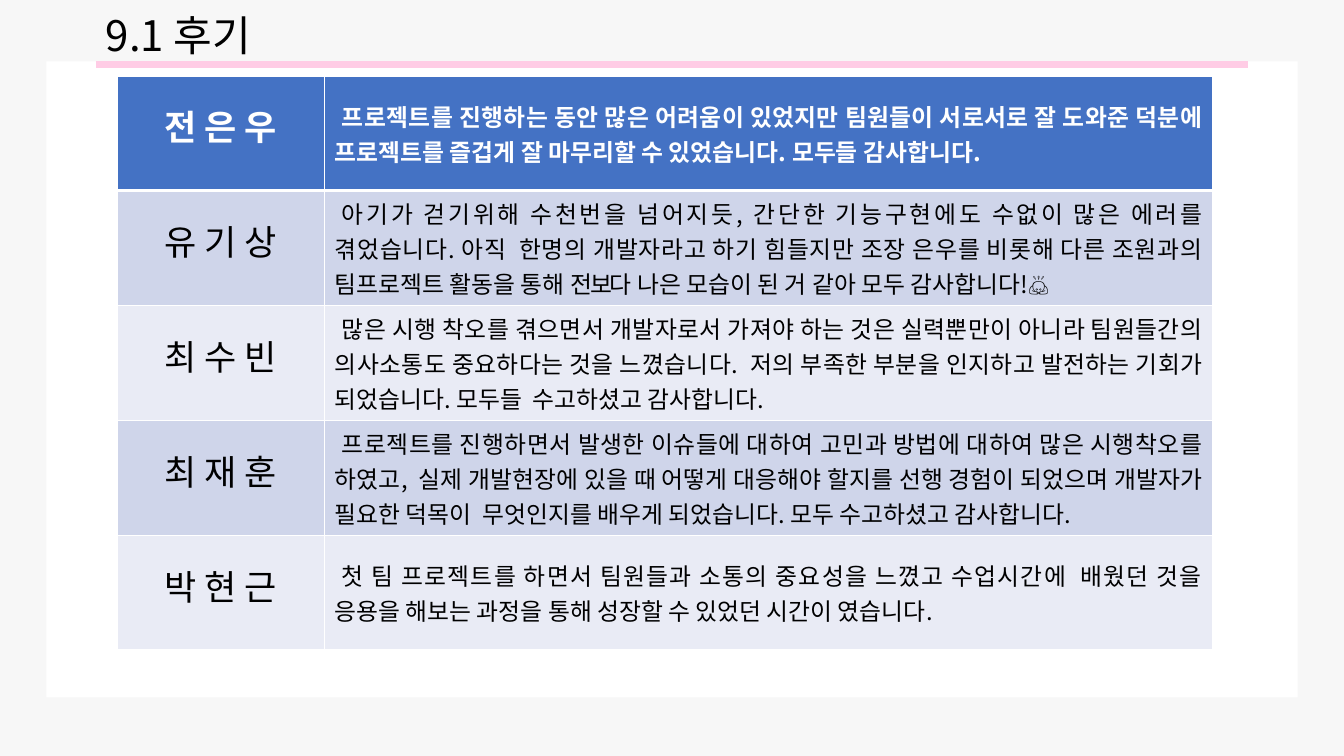
import pptx
import pptx.dml.color
import pptx.enum.shapes
import pptx.enum.text
import pptx.oxml.ns
import pptx.util
from lxml import etree
from pptx.util import Inches

FONT = "Noto Sans CJK KR"
HEADER_FILL = "4472C4"
BAND_FILLS = ["E9EBF5", "CFD5EA"]
ALIGN = pptx.enum.text.PP_ALIGN
MIDDLE = pptx.enum.text.MSO_ANCHOR.MIDDLE

REVIEWS = [
    ("전 은 우", [
        "프로젝트를 진행하는 동안 많은 어려움이 있었지만 팀원들이 서로서로 잘 도와준 덕분에 "
        "프로젝트를 즐겁게 잘 마무리할 수 있었습니다. 모두들 감사합니다."]),
    ("유 기 상", [
        "아기가 걷기위해 수천번을 넘어지듯, 간단한 기능구현에도 수없이 많은 에러를 겪었습니다. "
        "아직  한명의 개발자라고 하기 힘들지만 조장 은우를 비롯해 다른 조원과의 "
        "팀프로젝트 활동을 통해 ",
        ("전보다", -1.5),
        " 나은 모습이 된 거 같아 모두 감사합니다!🙇"]),
    ("최 수 빈", [
        "많은 시행 착오를 겪으면서 개발자로서 가져야 하는 것은 실력뿐만이 아니라 팀원들간의 "
        "의사소통도 중요하다는 것을 느꼈습니다.  저의 부족한 부분을 인지하고 발전하는 "
        "기회가 되었습니다. 모두들  수고하셨고 감사합니다."]),
    ("최 재 훈", [
        "프로젝트를 진행하면서 발생한 이슈들에 대하여 고민과 방법에 대하여 많은 시행착오를 "
        "하였고,  실제 개발현장에 있을 때 어떻게 대응해야 할지를 선행 경험이 되었으며 "
        "개발자가 필요한 덕목이  무엇인지를 배우게 되었습니다. 모두 수고하셨고 감사합니다."]),
    ("박 현 근", [
        "첫 팀 프로젝트를 하면서 팀원들과 소통의 중요성을 느꼈고 수업시간에  배웠던 것을 "
        "응용을 해보는 과정을 통해 성장할 수 있었던 시간이 였습니다."]),
]


def rgb(code):
    """Return the colour for a hex string."""
    return pptx.dml.color.RGBColor.from_string(code)


def add_child(parent, tag, **attributes):
    """Append a DrawingML element and return it."""
    return etree.SubElement(parent, pptx.oxml.ns.qn(tag), attributes)


def add_span(para, text, size, color="000000", bold=False, spacing=0):
    """Add one formatted run, with letter spacing in points."""
    span = para.add_run()
    span.text = text
    span.font.size = pptx.util.Pt(size)
    span.font.bold = bold
    span.font.color.rgb = rgb(color)
    span.font.name = FONT
    properties = span.font._element
    add_child(properties, "a:ea", typeface=FONT)
    if spacing:
        properties.set("spc", str(int(spacing * 100)))


def add_panel(slide):
    """Add the white panel behind the content."""
    panel = slide.shapes.add_shape(
        pptx.enum.shapes.MSO_SHAPE.RECTANGLE,
        Inches(0.46), Inches(0.61), Inches(12.41), Inches(6.31))
    panel.shadow.inherit = False
    panel.fill.solid()
    panel.fill.fore_color.rgb = rgb("FFFFFF")
    panel.line.fill.background()


def add_rule(slide):
    """Add the pink rule under the title."""
    rule = slide.shapes.add_connector(
        pptx.enum.shapes.MSO_CONNECTOR.STRAIGHT,
        Inches(0.95), Inches(0.64), Inches(12.38), Inches(0.64))
    rule.line.color.rgb = rgb("FFCCE5")
    rule.line.width = pptx.util.Pt(5)
    add_child(rule._element.spPr, "a:effectLst")


def fill_title(slide, text):
    """Place and format the title placeholder."""
    title = slide.shapes.title
    title.left, title.top = Inches(0.95), Inches(0.15)
    title.width, title.height = Inches(5.53), Inches(0.46)
    frame = title.text_frame
    frame.word_wrap = True
    frame.auto_size = pptx.enum.text.MSO_AUTO_SIZE.NONE
    frame.vertical_anchor = MIDDLE
    para = frame.paragraphs[0]
    para.alignment = ALIGN.LEFT
    para.line_spacing = 0.9
    add_span(para, text, 30)


def style_cell(cell, fill, is_header):
    """Give a cell its white borders, fill and anchor."""
    properties = cell._tc.get_or_add_tcPr()
    for side in ["L", "R", "T", "B"]:
        points = 3 if is_header and side == "B" else 1
        border = add_child(properties, "a:ln" + side, w=str(pptx.util.Pt(points)))
        add_child(add_child(border, "a:solidFill"), "a:srgbClr", val="FFFFFF")
    cell.fill.solid()
    cell.fill.fore_color.rgb = rgb(fill)
    cell.vertical_anchor = MIDDLE


def fill_cell(cell, parts, size, alignment, is_header):
    """Write the parts of one cell, each plain or with letter spacing."""
    para = cell.text_frame.paragraphs[0]
    para.alignment = alignment
    para.line_spacing = pptx.util.Pt(25)
    color = "FFFFFF" if is_header else "000000"
    for part in parts:
        text, spacing = (part, 0) if isinstance(part, str) else part
        add_span(para, text, size, color, is_header, spacing)
    if alignment == ALIGN.JUSTIFY:
        para._p.get_or_add_pPr().set("indent", str(Inches(0.07)))


def add_reviews(slide):
    """Add the table of team members and their reviews."""
    table = slide.shapes.add_table(
        len(REVIEWS), 2, Inches(1.16), Inches(0.76), Inches(10.87), Inches(5.65)).table
    for column, width in zip(table.columns, [2.06, 8.81]):
        column.width = Inches(width)
    for index, (name, review) in enumerate(REVIEWS):
        is_header = index == 0
        fill = HEADER_FILL if is_header else BAND_FILLS[index % 2]
        table.rows[index].height = Inches(1.13)
        name_cell, review_cell = table.cell(index, 0), table.cell(index, 1)
        for cell in [name_cell, review_cell]:
            style_cell(cell, fill, is_header)
        fill_cell(name_cell, [name], 25, ALIGN.CENTER, is_header)
        fill_cell(review_cell, review, 17, ALIGN.JUSTIFY, is_header)


def main():
    """Build and save the review slide."""
    deck = pptx.Presentation()
    deck.slide_width, deck.slide_height = Inches(13.33), Inches(7.5)
    page = deck.slides.add_slide(deck.slide_layouts[5])
    page.background.fill.solid()
    page.background.fill.fore_color.rgb = rgb("F7F7F7")
    add_panel(page)
    add_rule(page)
    fill_title(page, "9.1 후기")
    add_reviews(page)
    deck.save("out.pptx")


if __name__ == "__main__":
    main()
